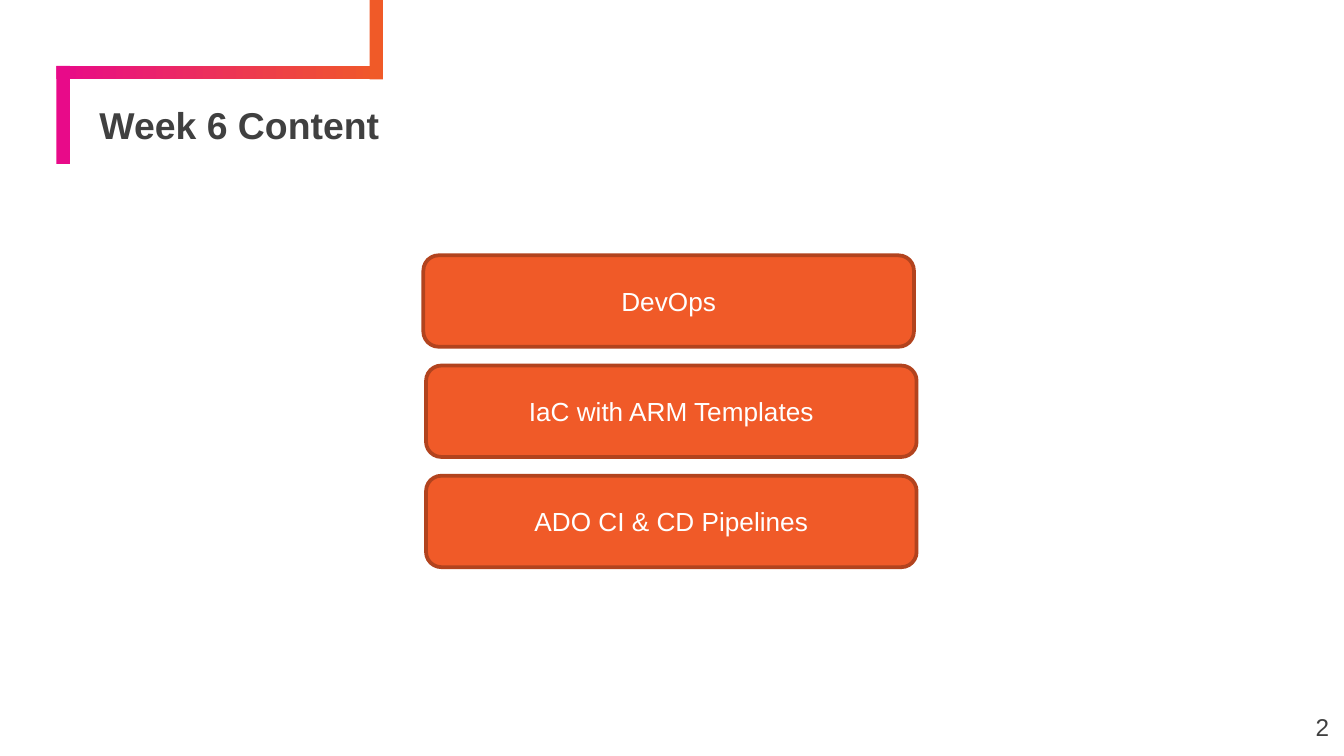
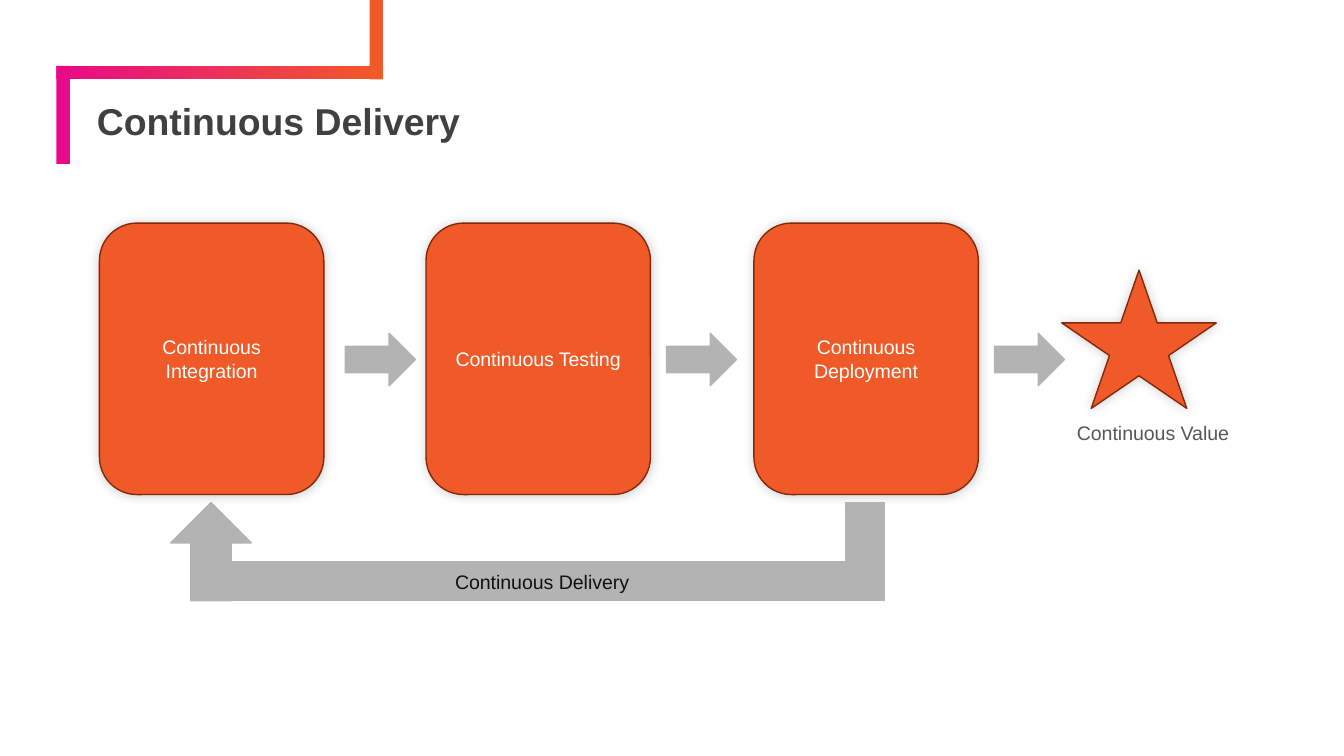
from pptx import Presentation
from pptx.dml.color import RGBColor
from pptx.enum.shapes import MSO_SHAPE
from pptx.enum.text import MSO_ANCHOR, MSO_AUTO_SIZE, PP_ALIGN
from pptx.oxml import parse_xml
from pptx.oxml.ns import nsdecls
from pptx.util import Inches, Pt

# Content
WEEK_TITLE = "Week 6 Content"
PAGE_NUMBER = "2"
TOPICS = [("DevOps", 3.15), ("IaC with ARM Templates", 3.17),
          ("ADO CI & CD Pipelines", 3.17)]  # text, left

DELIVERY_TITLE = "Continuous Delivery"
STAGES = [("Continuous Integration", 0.74), ("Continuous Testing", 3.17),
          ("Continuous Deployment", 5.61)]  # text, left
ARROW_LEFTS = [2.57, 4.96, 7.4]
LOOP_LABEL = "Continuous Delivery"
VALUE_LABEL = "Continuous Value"

# Shared style
FONT = "Arial"
ORANGE, PINK, GREY, WHITE = "F05A28", "E80A89", "B3B3B3", "FFFFFF"
DARK, BLACK, MUTED = "404040", "111111", "575757"
TOPIC_EDGE, STAGE_EDGE = "B2431E", "832809"
TIGHT = (0.07, 0.04, 0.07, 0.04)
NORMAL = (0.1, 0.05, 0.1, 0.05)


def rgb(value):
    return RGBColor.from_string(value)


def write(sp, text, size, color, align=PP_ALIGN.CENTER, anchor=MSO_ANCHOR.MIDDLE,
          insets=TIGHT, bold=False):
    tf = sp.text_frame
    tf.word_wrap = True
    tf.auto_size = MSO_AUTO_SIZE.NONE
    tf.vertical_anchor = anchor
    tf.margin_left, tf.margin_top, tf.margin_right, tf.margin_bottom = map(Inches, insets)
    p = tf.paragraphs[0]
    p.alignment = align
    r = p.add_run()
    r.text = text
    r.font.name, r.font.size, r.font.bold = FONT, Pt(size), bold
    r.font.color.rgb = rgb(color)
    return p


def add_box(s, kind, box, fill, line=None, width=0.75):
    sp = s.shapes.add_shape(kind, *map(Inches, box))
    sp.shadow.inherit = False
    sp.fill.solid()
    sp.fill.fore_color.rgb = rgb(fill)
    if line:
        sp.line.color.rgb = rgb(line)
        sp.line.width = Pt(width)
    else:
        sp.line.fill.background()
    return sp


def add_glow(sp):
    """Soft black shadow, 6 pt blur at 20 % opacity."""
    effects = sp.shadow._element.find("{*}effectLst")
    effects.append(parse_xml(
        f'<a:outerShdw {nsdecls("a")} blurRad="{Pt(6)}" dist="0" dir="18900000" '
        'algn="ctr" rotWithShape="0"><a:srgbClr val="000000">'
        '<a:alpha val="20000"/></a:srgbClr></a:outerShdw>'))


def add_text(s, box, *args, **style):
    write(s.shapes.add_textbox(*map(Inches, box)), *args, **style)


def add_slide(prs, title, anchor, insets):
    s = prs.slides.add_slide(prs.slide_layouts[5])
    # Stepped band above the title
    bar = add_box(s, MSO_SHAPE.RECTANGLE, (0.42, 0.49, 2.43, 0.1), PINK)
    bar.fill.gradient()
    bar.fill.gradient_angle = 0
    for stop, color in zip(bar.fill.gradient_stops, (PINK, ORANGE)):
        stop.color.rgb = rgb(color)
    add_box(s, MSO_SHAPE.RECTANGLE, (0.42, 0.49, 0.1, 0.73), PINK)
    add_box(s, MSO_SHAPE.RECTANGLE, (2.75, 0, 0.1, 0.59), ORANGE)
    # Title
    sp = s.shapes.title
    sp.left, sp.top, sp.width, sp.height = map(Inches, (0.67, 0.78, 9.03, 0.34))
    p = write(sp, title, 20, DARK, PP_ALIGN.LEFT, anchor, insets, bold=True)
    p.line_spacing = 0.9
    return s


def build_week(prs):
    s = add_slide(prs, WEEK_TITLE, MSO_ANCHOR.MIDDLE, TIGHT)
    add_text(s, (9.36, 5.19, 0.6, 0.43), PAGE_NUMBER, 13, DARK, align=PP_ALIGN.RIGHT)
    top, height, gap = 1.9, 0.68, 0.14
    for i, (text, left) in enumerate(TOPICS):
        box = (left, top + i * (height + gap), 3.65, height)
        sp = add_box(s, MSO_SHAPE.ROUNDED_RECTANGLE, box, ORANGE, TOPIC_EDGE, 2)
        write(sp, text, 14, WHITE, insets=NORMAL)


def build_delivery(prs):
    s = add_slide(prs, DELIVERY_TITLE, MSO_ANCHOR.BOTTOM, (0.05,) * 4)
    # Stages
    for text, left in STAGES:
        sp = add_box(s, MSO_SHAPE.ROUNDED_RECTANGLE, (left, 1.66, 1.67, 2.02),
                     ORANGE, STAGE_EDGE)
        add_glow(sp)
        write(sp, text, 10.5, WHITE)
    # Loop back to the first stage
    add_box(s, MSO_SHAPE.RECTANGLE, (6.29, 3.74, 0.29, 0.73), GREY, GREY)
    base = add_box(s, MSO_SHAPE.RECTANGLE, (1.57, 4.18, 4.93, 0.29), GREY, GREY)
    write(base, LOOP_LABEL, 10.5, BLACK)
    add_box(s, MSO_SHAPE.UP_ARROW, (1.27, 3.74, 0.6, 0.73), GREY, GREY)
    # Resulting value and the arrows leading to it
    add_glow(add_box(s, MSO_SHAPE.STAR_5_POINT, (7.9, 2.01, 1.15, 1.03), ORANGE, STAGE_EDGE))
    for left in ARROW_LEFTS:
        add_box(s, MSO_SHAPE.RIGHT_ARROW, (left, 2.48, 0.52, 0.39), GREY, GREY)
    add_text(s, (7.9, 3.11, 1.36, 0.22), VALUE_LABEL, 10.5, MUTED)


def main():
    prs = Presentation()
    prs.slide_width = Inches(10)
    prs.slide_height = prs.slide_width * 9 // 16
    build_week(prs)
    build_delivery(prs)
    prs.save("out.pptx")


if __name__ == "__main__":
    main()
